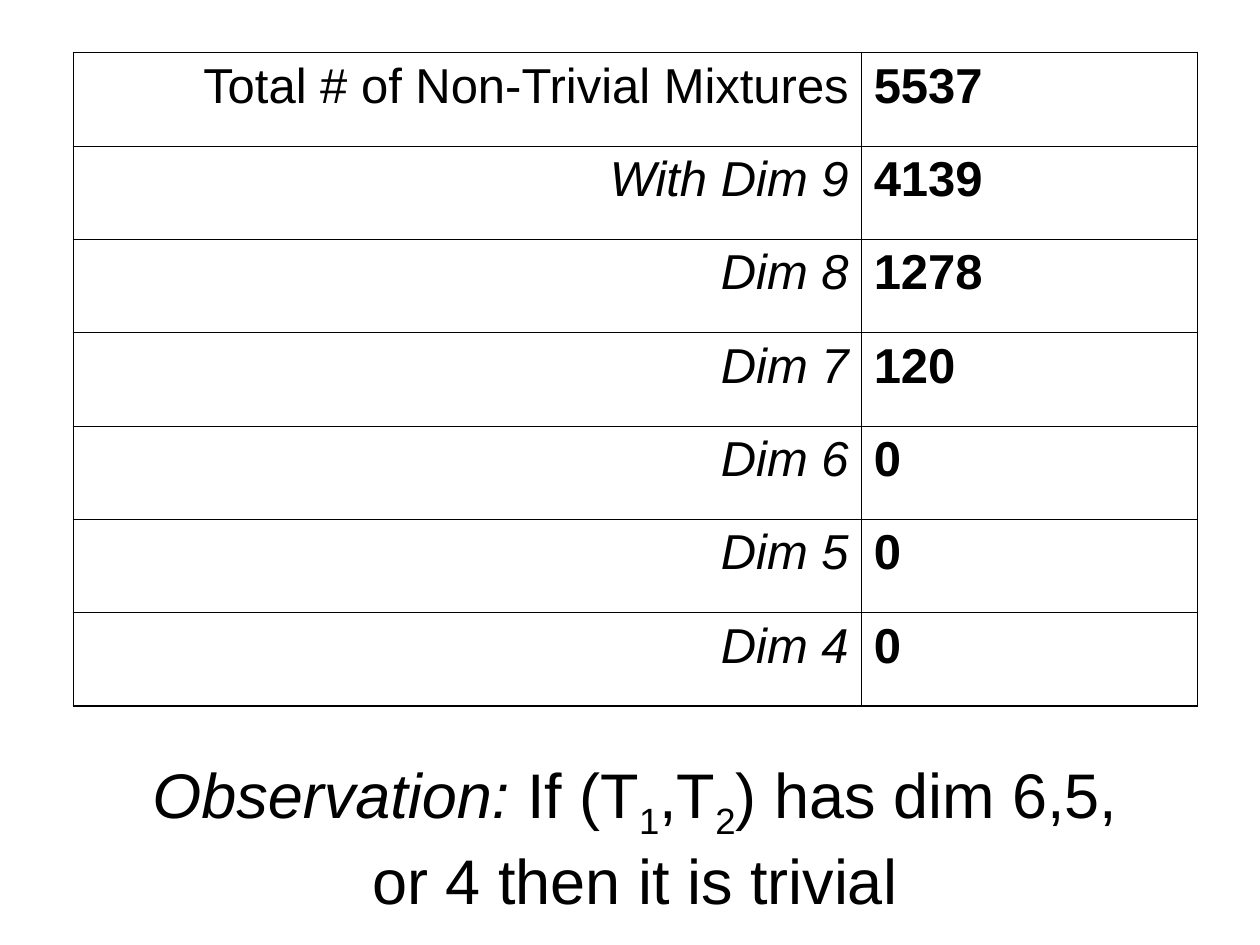
from lxml import etree
from pptx import Presentation
from pptx.dml import color
from pptx.enum import text
from pptx.oxml import ns
from pptx.util import Cm, Pt

BLACK = color.RGBColor(0, 0, 0)
FONT = "Arial"
OUTER, INNER = Pt(1.08), Pt(0.45)
MIXTURES = [
    ("Total # of Non-Trivial Mixtures", "5537"),
    ("With Dim 9", "4139"),
    ("Dim 8", "1278"),
    ("Dim 7", "120"),
    ("Dim 6", "0"),
    ("Dim 5", "0"),
    ("Dim 4", "0"),
]
OBSERVATION = [
    ("Observation:", True, False),
    (" If (T", False, False),
    ("1", False, True),
    (",T", False, False),
    ("2", False, True),
    (") has dim 6,5, or 4 then it is trivial", False, False),
]


def format_paragraph(para, size, alignment, bold=None, italic=None):
    para.alignment = alignment
    font = para.font
    font.name, font.size = FONT, Pt(size)
    font.bold, font.italic = bold, italic
    font.color.rgb = BLACK


def set_borders(cell, **widths):
    properties = cell._tc.get_or_add_tcPr()
    for side in "LRTB":
        line = etree.SubElement(properties, ns.qn(f"a:ln{side}"), w=str(int(widths[side])))
        fill = etree.SubElement(line, ns.qn("a:solidFill"))
        etree.SubElement(fill, ns.qn("a:srgbClr"), val=str(BLACK))


def fill_cell(cell, words, alignment, bold, italic):
    para = cell.text_frame.paragraphs[0]
    span = para.add_run()
    span.text = words
    format_paragraph(para, 28, alignment)
    span.font.name, span.font.size = FONT, Pt(28)
    span.font.bold, span.font.italic = bold, italic
    span.font.color.rgb = BLACK


def add_mixture_table(page):
    last = len(MIXTURES) - 1
    frame = page.shapes.add_table(len(MIXTURES), 2, Cm(1.48), Cm(1.06), Cm(22.66), Cm(13.18))
    table = frame.table
    table.first_row = table.horz_banding = False
    for column, width in zip(table.columns, (15.88, 6.78)):
        column.width = Cm(width)
    for number, (label, count) in enumerate(MIXTURES):
        left, right = table.cell(number, 0), table.cell(number, 1)
        fill_cell(left, label, text.PP_ALIGN.RIGHT, False, number > 0)
        fill_cell(right, count, text.PP_ALIGN.LEFT, True, False)
        top = OUTER if number == 0 else INNER
        bottom = OUTER if number == last else INNER
        set_borders(left, L=OUTER, R=INNER, T=top, B=bottom)
        set_borders(right, L=INNER, R=OUTER, T=top, B=bottom)
        for cell in (left, right):
            cell.fill.background()


def add_observation(page):
    box = page.shapes.add_textbox(Cm(2.74), Cm(15.11), Cm(20.12), Cm(3.53))
    frame = box.text_frame
    frame.word_wrap = True
    frame.auto_size = text.MSO_AUTO_SIZE.SHAPE_TO_FIT_TEXT
    para = frame.paragraphs[0]
    format_paragraph(para, 36, text.PP_ALIGN.CENTER)
    for words, italic, subscript in OBSERVATION:
        span = para.add_run()
        span.text = words
        span.font.italic = italic
        if subscript:
            span.font._element.set("baseline", "-25000")


def main():
    deck = Presentation()
    deck.slide_width, deck.slide_height = Cm(25.4), Cm(19.05)
    page = deck.slides.add_slide(deck.slide_layouts[6])
    add_mixture_table(page)
    add_observation(page)
    deck.save("out.pptx")


if __name__ == "__main__":
    main()
